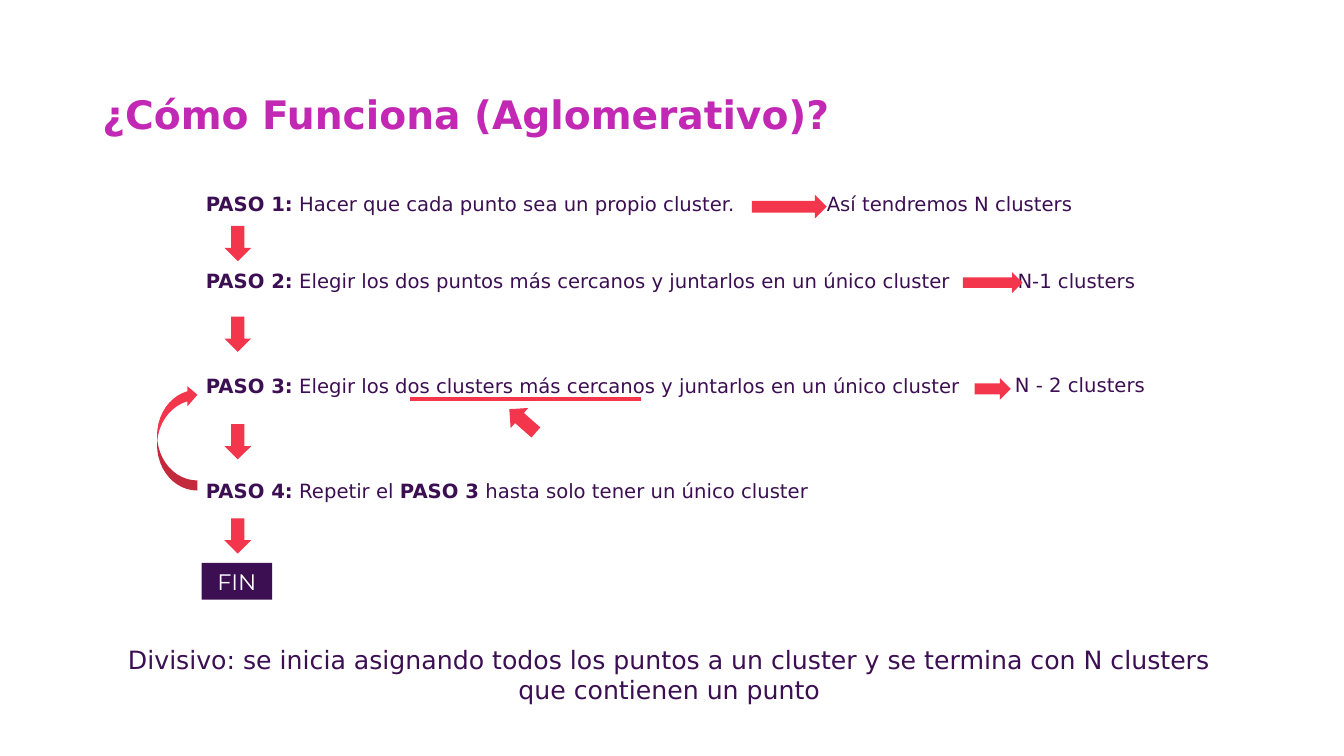
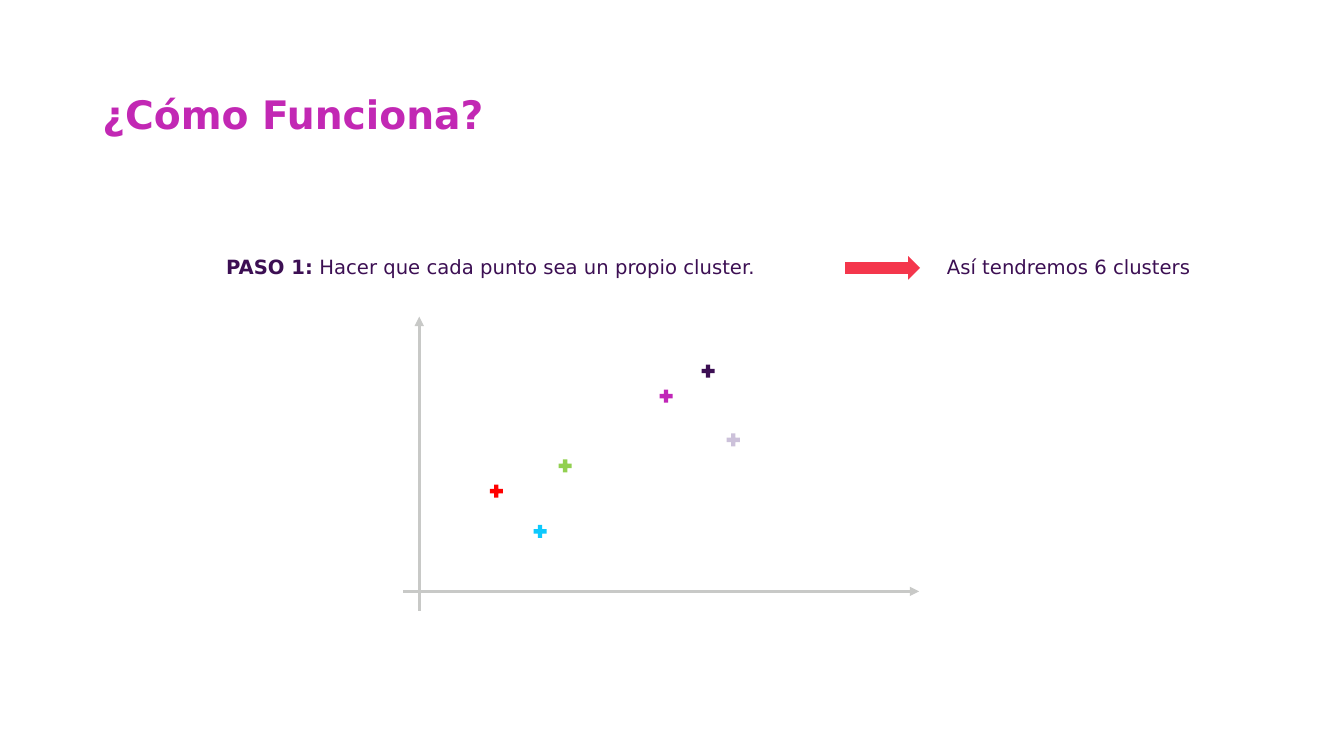
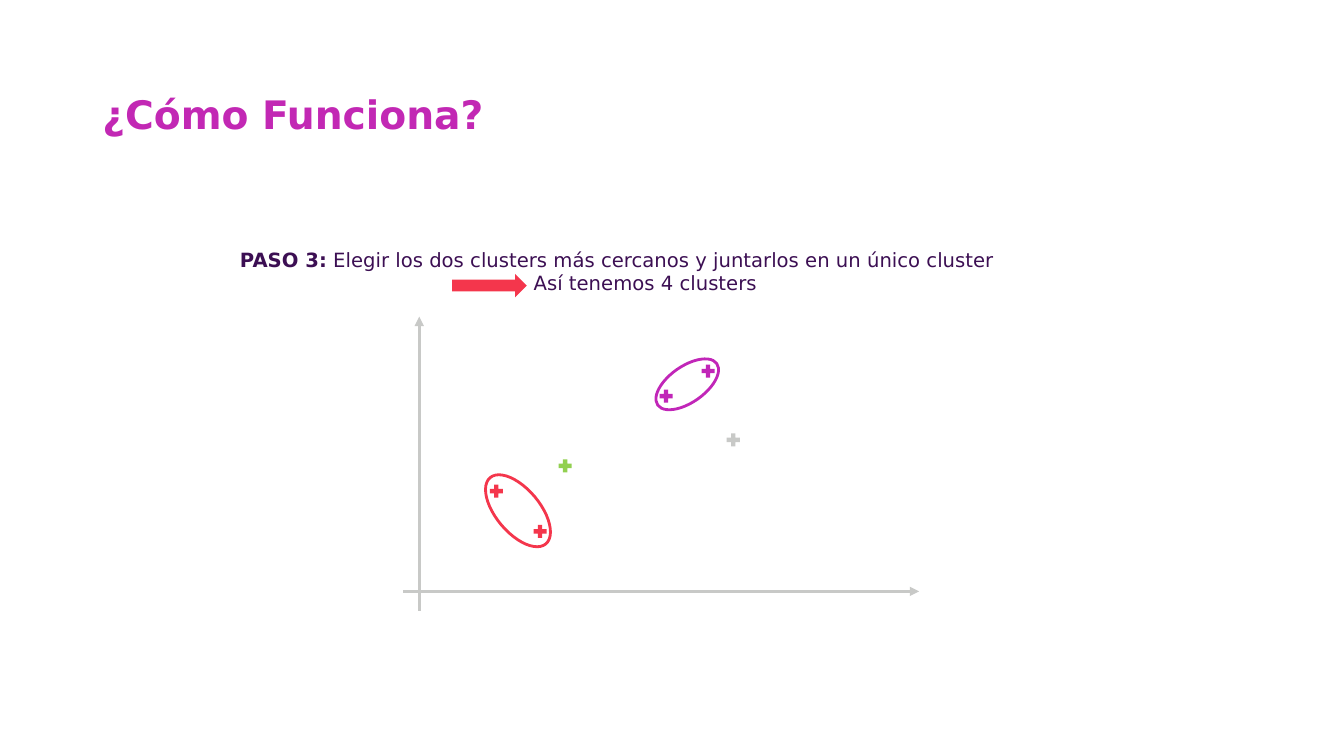
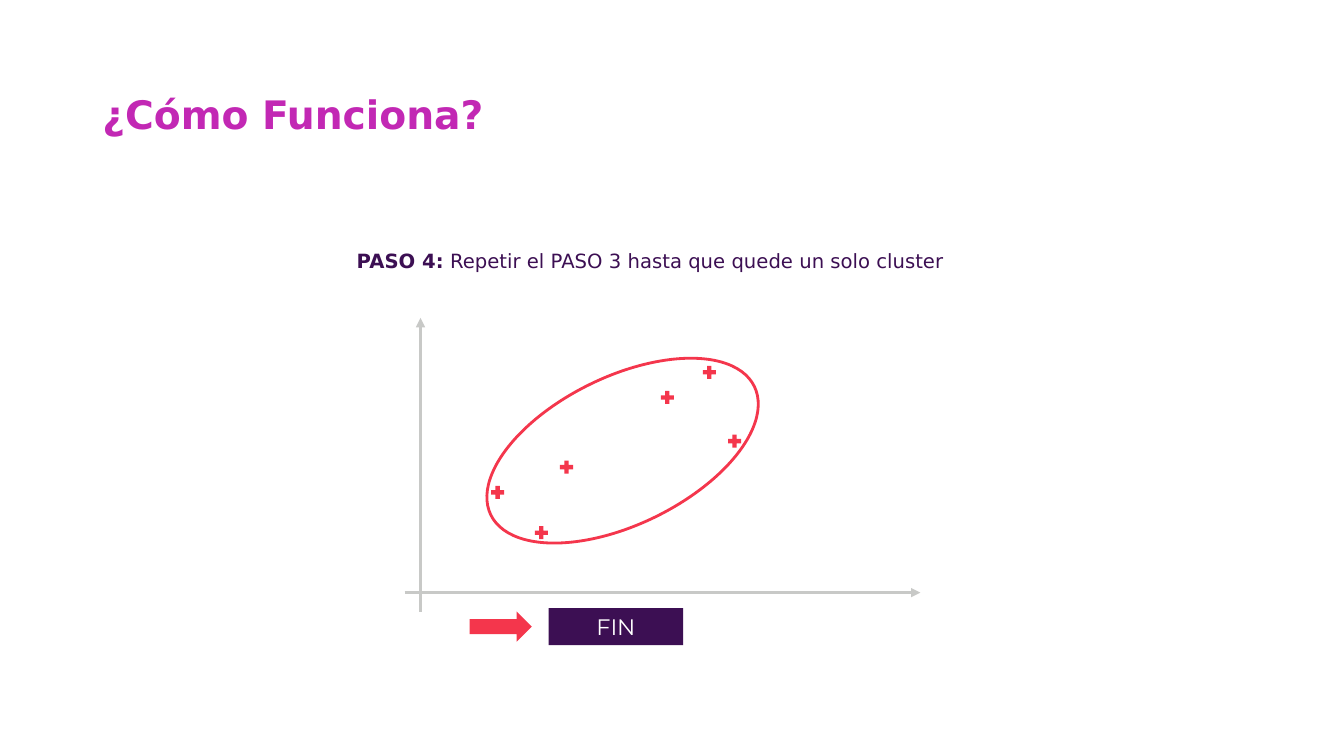
"""Build four slides that explain agglomerative clustering step by step."""
import lxml.etree
import pptx
import pptx.dml.color
import pptx.enum.shapes
import pptx.enum.text
import pptx.oxml.ns
import pptx.util

RED = pptx.dml.color.RGBColor(0xF4, 0x36, 0x4C)
PINK = pptx.dml.color.RGBColor(0xC2, 0x28, 0xB4)
ROSE = pptx.dml.color.RGBColor(0xC1, 0x26, 0xB8)
PLUM = pptx.dml.color.RGBColor(0x3C, 0x0F, 0x53)
GRAY = pptx.dml.color.RGBColor(0xC8, 0xC9, 0xC7)
LIME = pptx.dml.color.RGBColor(0x92, 0xD0, 0x50)
BLUE = pptx.dml.color.RGBColor(0x0D, 0xC9, 0xFD)
LILAC = pptx.dml.color.RGBColor(0xCC, 0xC1, 0xDA)
FIRE = pptx.dml.color.RGBColor(0xFF, 0x00, 0x00)
WHITE = pptx.dml.color.RGBColor(0xFF, 0xFF, 0xFF)
FONT = "DejaVu Sans"
LEFT = pptx.enum.text.PP_ALIGN.LEFT
MID = pptx.enum.text.PP_ALIGN.CENTER
KIND = pptx.enum.shapes.MSO_SHAPE
qn = pptx.oxml.ns.qn

deck = pptx.Presentation()
deck.slide_width = pptx.util.Inches(13.33)
deck.slide_height = pptx.util.Inches(7.5)
CELL = deck.slide_height / 90


def write(shape, lines, size=14, tint=PLUM, align=LEFT, gaps=(), dents=(), font=FONT, inset=0.6):
    """Fill a shape with lines in which asterisks enclose bold words."""
    frame = shape.text_frame
    frame.word_wrap = True
    frame.auto_size = pptx.enum.text.MSO_AUTO_SIZE.NONE
    frame.margin_left = frame.margin_right = int(inset * CELL)
    frame.margin_top = frame.margin_bottom = int(0.6 * CELL)
    for at, line in enumerate(lines):
        para = frame.add_paragraph() if at else frame.paragraphs[0]
        para.alignment = align
        para.space_before = pptx.util.Pt(gaps[at] if gaps else 0)
        props = para._p.get_or_add_pPr()
        props.set("marL", str(int((dents[at] if dents else 0) * CELL)))
        props.set("indent", "0")
        lxml.etree.SubElement(props, qn("a:buNone"))
        for turn, part in enumerate(line.split("*")):
            if part:
                run = para.add_run()
                run.text = part
                run.font.name = font
                run.font.size = pptx.util.Pt(size)
                run.font.bold = turn % 2 == 1
                run.font.color.rgb = tint


def draw(slide, kind, box, fill=RED, line=None, turn=0):
    """Add a preset shape, or a text box when kind is None, on the grid."""
    box = [int(side * CELL) for side in box]
    if kind is None:
        return slide.shapes.add_textbox(*box)
    shape = slide.shapes.add_shape(kind, *box)
    shape.shadow.inherit = False
    shape.rotation = turn
    if line:
        shape.fill.background()
        shape.line.color.rgb = line
        shape.line.width = pptx.util.Pt(2)
    else:
        shape.fill.solid()
        shape.fill.fore_color.rgb = fill
        shape.line.fill.background()
    return shape


layout = deck.slide_layouts[1]
head = layout.placeholders[0]
head.left, head.top, head.width, head.height = [int(n * CELL) for n in (11, 8.5, 138, 10.9)]
head.text_frame.vertical_anchor = pptx.enum.text.MSO_ANCHOR.MIDDLE

STEPS = [
    "*PASO 1:* Hacer que cada punto sea un propio cluster.",
    "*PASO 2:* Elegir los dos puntos más cercanos y juntarlos en un único cluster",
    "*PASO 3:* Elegir los dos clusters más cercanos y juntarlos en un único cluster",
    "*PASO 4:* Repetir el *PASO 3* hasta solo tener un único cluster",
]
HOW = "¿Cómo Funciona?"
PAGES = [
    ("¿Cómo Funciona (Aglomerativo)?", (23.9, 22.2, 122.4, 47.6), STEPS, LEFT, (0, 38.7, 58, 58), ()),
    (HOW, (26.3, 29.8, 70, 4.1), STEPS[:1], LEFT, (), ()),
    (HOW, (18, 28.9, 110.9, 6.8), [STEPS[2], "Así tenemos 4 clusters"], MID, (), (0, 6.7)),
    (HOW, (18.2, 29, 118.4, 4.1), ["*PASO 4:* Repetir el PASO 3 hasta que quede un solo cluster"], MID, (), ()),
]
for title, box, lines, align, gaps, dents in PAGES:
    slide = deck.slides.add_slide(layout)
    write(slide.shapes.title, [f"*{title}*"], 28, PINK, inset=1.2)
    slide.shapes.title.text_frame.paragraphs[0].line_spacing = 0.9
    body = slide.placeholders[1]
    body.left, body.top, body.width, body.height = [int(n * CELL) for n in box]
    write(body, lines, align=align, gaps=gaps, dents=dents)
flow, first, third, last = deck.slides

for slide, left, top, text in [
    (flow, 97.8, 22.2, "Así tendremos N clusters"),
    (flow, 120.5, 31.4, "N-1 clusters"),
    (flow, 120.2, 43.8, "N - 2 clusters"),
    (first, 112.1, 29.8, "Así tendremos 6 clusters"),
]:
    write(draw(slide, None, (left, top, 34, 4.1)), [text])

for slide, box in [
    (flow, (89.5, 23.2, 8.9, 2.8)),
    (flow, (114.6, 32.4, 7.1, 2.5)),
    (flow, (116, 45, 4.3, 2.6)),
    (first, (100.6, 30.5, 8.9, 2.8)),
    (third, (53.8, 32.6, 8.9, 2.8)),
    (last, (55.9, 72.8, 7.4, 3.6)),
]:
    draw(slide, KIND.RIGHT_ARROW, box)

for top in (26.9, 37.7, 50.5, 61.7):
    draw(flow, KIND.DOWN_ARROW, (26.7, top, 3.2, 4.2))
draw(flow, KIND.DOWN_ARROW, (60.6, 48, 3.2, 4.2), turn=131.2)
draw(flow, KIND.CURVED_LEFT_ARROW, (18.7, 45.8, 4.8, 12.6), turn=180)
note = "Divisivo: se inicia asignando todos los puntos a un cluster y se termina con N clusters que contienen un punto"
write(draw(flow, None, (13, 76.1, 133.3, 8.5)), [note], 18, align=MID)

for slide, box in [(flow, (24, 67, 8.4, 4.4)), (last, (65.3, 72.4, 16, 4.4))]:
    write(draw(slide, KIND.RECTANGLE, box, PLUM), ["FIN"], 16, WHITE, MID, font="Montserrat")

strokes = [(flow, (48.8, 47.5, 76.3, 47.5), RED, 3)]
DOTS = [(58.3, 57.7), (63.5, 62.5), (66.5, 54.7), (78.5, 46.4), (83.5, 43.4), (86.5, 51.6)]
for slide, tints, shift in [
    (first, (FIRE, BLUE, LIME, ROSE, PLUM, LILAC), 0),
    (third, (RED, RED, LIME, ROSE, ROSE, GRAY), 0),
    (last, (RED,) * 6, 0.15),
]:
    for ends in [(49.9, 72.7, 49.9, 37.7), (48, 70.4, 109.4, 70.4)]:
        strokes.append((slide, [end + shift for end in ends], GRAY, 2.25))
    for (left, top), tint in zip(DOTS, tints):
        plus = draw(slide, KIND.CROSS, (left + shift, top + shift, 1.55, 1.55), tint)
        plus.adjustments[0] = 0.33

for slide, ends, tint, width in strokes:
    ends = [int(end * CELL) for end in ends]
    stroke = slide.shapes.add_connector(pptx.enum.shapes.MSO_CONNECTOR.STRAIGHT, *ends)
    stroke.line.color.rgb = tint
    stroke.line.width = pptx.util.Pt(width)
    props = stroke.element.spPr
    if tint == GRAY:
        lxml.etree.SubElement(props.find(qn("a:ln")), qn("a:tailEnd"), type="triangle")
    lxml.etree.SubElement(props, qn("a:effectLst"))

for slide, box, tint, turn in [
    (third, (56.5, 58.2, 10.3, 5.2), RED, 230),
    (third, (77.5, 43.6, 8.6, 4.3), ROSE, 325),
    (last, (65.3, 36.2, 17.6, 34.9), RED, 244),
]:
    draw(slide, KIND.OVAL, box, line=tint, turn=turn)

deck.save("out.pptx")
